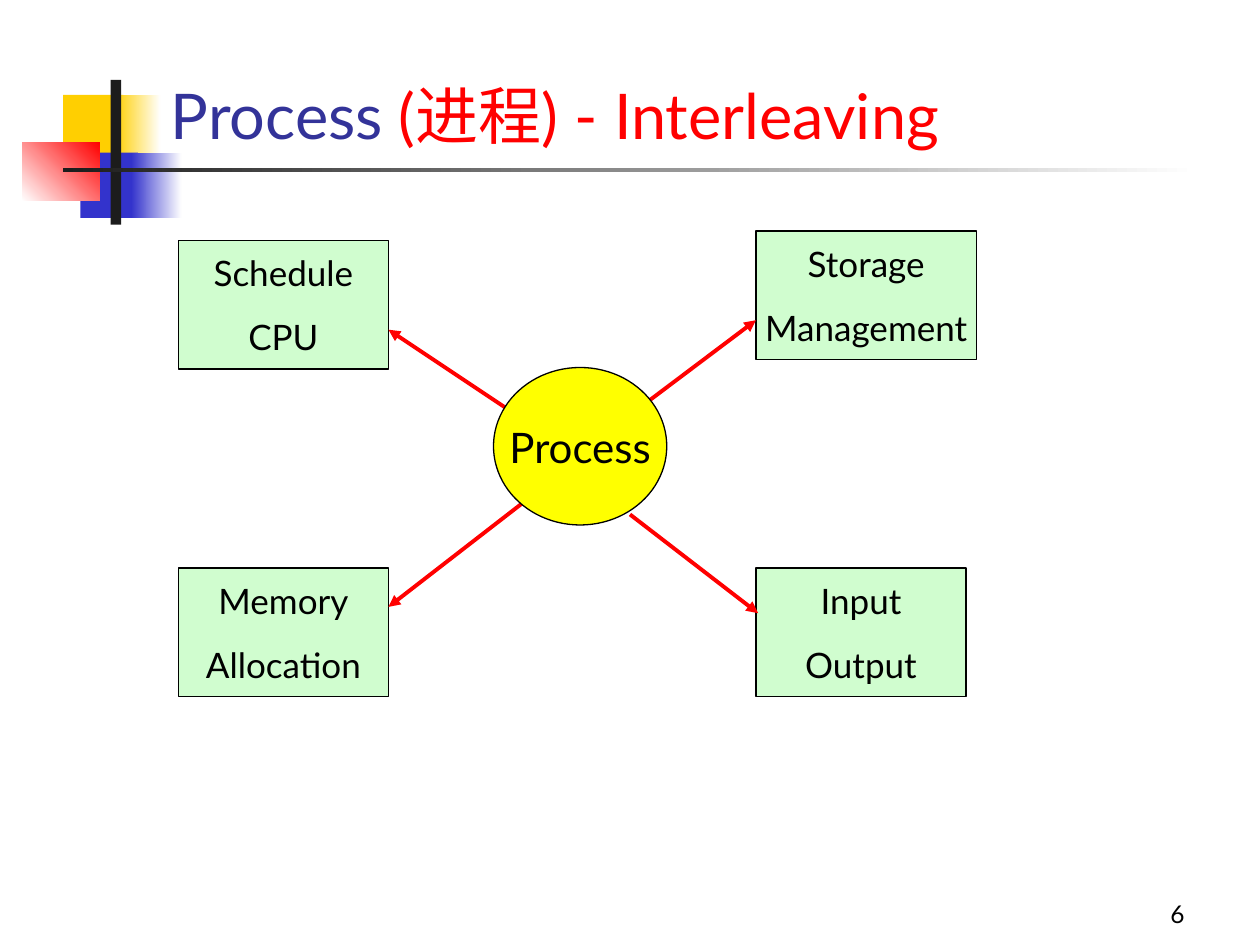
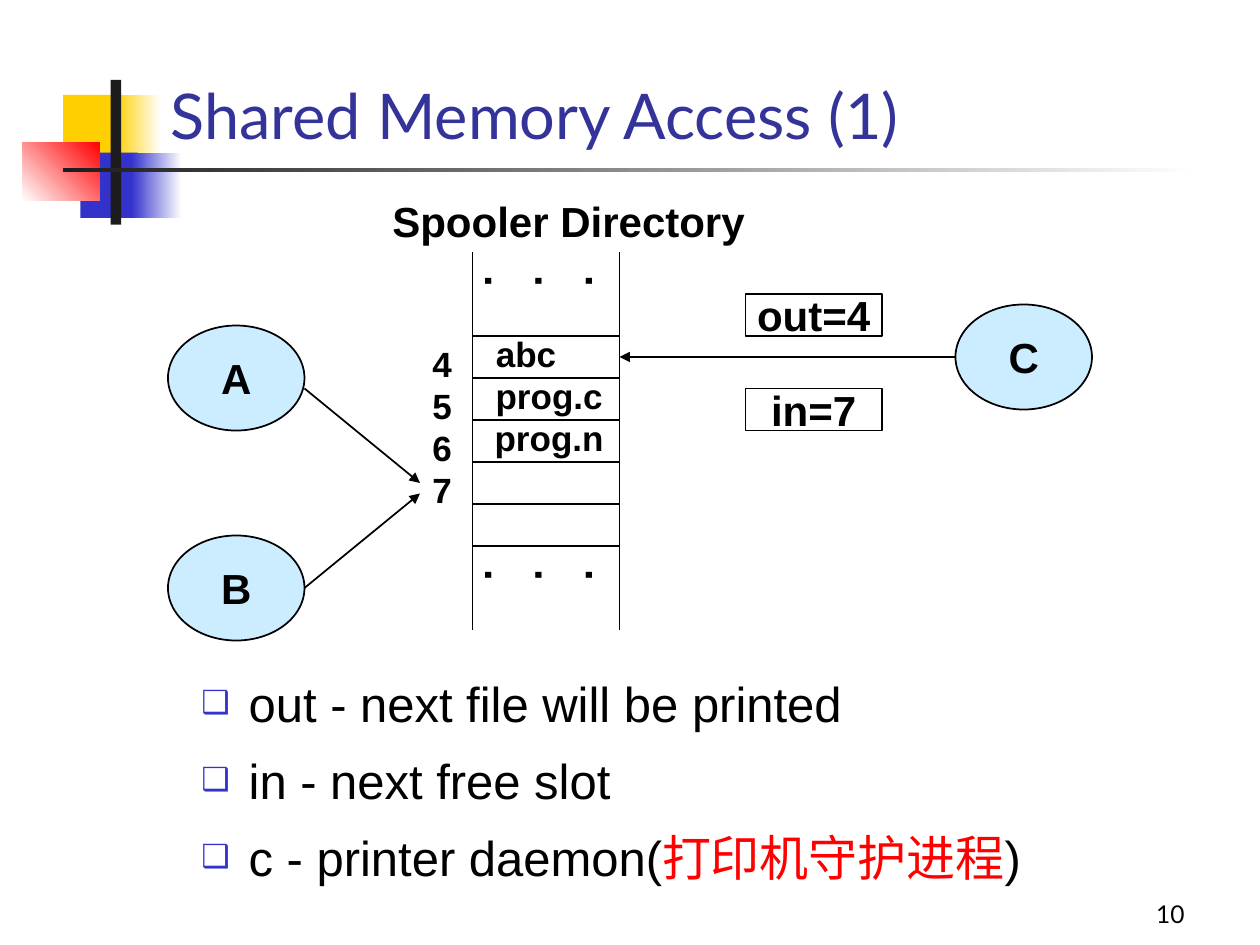
import dataclasses
import lxml.etree
import pptx
import pptx.dml.color
import pptx.enum.shapes
import pptx.enum.text
import pptx.oxml.ns
import pptx.util

HUES = {
    "white": "FFFFFF", "black": "000000", "ink": "1C1C1C", "red": "FF0000",
    "gold": "FFCF01", "blue": "3333CC", "navy": "333399", "mint": "D0FDCF",
    "yellow": "FFFF00", "sky": "CCECFF",
}
COLS, ROWS = 120, 90  # grid over the slide
CELL = pptx.util.Inches(10) // COLS
KIND = pptx.enum.shapes.MSO_SHAPE
SIDE = pptx.enum.text.PP_ALIGN
EDGE = pptx.enum.text.MSO_ANCHOR
Place = tuple[float, float, float, float]


@dataclasses.dataclass
class Style:
    font: str = "Lato"
    size: float = 20
    bold: bool = False
    hue: str = "black"
    side: int = SIDE.CENTER
    edge: int = EDGE.MIDDLE
    wrap: bool = False
    before: float = 0
    space: float = 1
    pads: tuple[float, float] = (1.2, 0.6)


@dataclasses.dataclass
class Node:
    place: Place
    lines: list[str]
    style: Style
    fill: str | None = None
    kind: int = KIND.RECTANGLE
    width: float = 1


@dataclasses.dataclass
class Band:
    place: Place
    start: str
    end: str | None = None
    angle: float = 0


@dataclasses.dataclass
class Line:
    start: tuple[float, float]
    end: tuple[float, float]
    hue: str = "black"
    width: float = 1
    arrow: bool = True


# Text styles
TITLE = Style(size=36, hue="navy", side=SIDE.LEFT, edge=EDGE.BOTTOM, wrap=True)
PAGE = Style(size=14, side=SIDE.RIGHT, edge=EDGE.BOTTOM, wrap=True)
TASK = Style(before=12.5)
HUB = Style(size=24)
LABEL = Style("Arial", 24, True)
SLOT = Style("Arial", 20, True)
DOTS = Style("Arial", 24, True, wrap=True, before=15, pads=(0.6, 1.2))
LIST = Style("Arial", 28, side=SIDE.LEFT, edge=EDGE.TOP, wrap=True, before=7, space=1.1)

# Corner ornament and rule under the title
BANDS = [
    Band((6, 9.05, 5.76, 6.2), "gold"),
    Band((11, 9.05, 4.3, 6.2), "gold", "white"),
    Band((7.65, 14.55, 5.5, 6.2), "blue"),
    Band((12.5, 14.55, 4.8, 6.2), "blue", "white"),
    Band((2.1, 13.55, 7.4, 5.55), "white", "red", 45),
    Band((10.55, 7.6, 1, 13.8), "ink"),
    Band((6, 16, 108, 0.4), "ink", "white"),
]


def span(*cells: float) -> list[int]:
    return [round(cell * CELL) for cell in cells]


def tint(name: str) -> pptx.dml.color.RGBColor:
    return pptx.dml.color.RGBColor.from_string(HUES[name])


def child(node, tag: str, **attrs: str):
    return lxml.etree.SubElement(node, pptx.oxml.ns.qn(tag), attrs)


def write(shape, lines: list[str], style: Style) -> None:
    """Fill a shape with text; a * switches red on and off."""
    frame = shape.text_frame
    frame.word_wrap = style.wrap
    frame.vertical_anchor = style.edge
    across, down = span(*style.pads)
    frame.margin_left = frame.margin_right = across
    frame.margin_top = frame.margin_bottom = down
    frame.text = "\n".join(line.split("*")[0] for line in lines)
    for para, line in zip(frame.paragraphs, lines):
        para.alignment = style.side
        para.space_before = pptx.util.Pt(style.before)
        para.line_spacing = style.space
        for part in line.split("*")[1:]:
            para.add_run().text = part
        for rank, run in enumerate(para.runs):
            run.font.name = style.font
            run.font.size = pptx.util.Pt(style.size)
            run.font.bold = style.bold
            run.font.color.rgb = tint("red" if rank % 2 else style.hue)


def label(slide, place: Place, lines: list[str], style: Style):
    box = slide.shapes.add_textbox(*span(*place))
    write(box, lines, style)
    return box


def draw_node(slide, node: Node) -> None:
    shape = slide.shapes.add_shape(node.kind, *span(*node.place))
    shape.shadow.inherit = False
    if node.fill:
        shape.fill.solid()
        shape.fill.fore_color.rgb = tint(node.fill)
    else:
        shape.fill.background()
    shape.line.color.rgb = tint("black")
    shape.line.width = pptx.util.Pt(node.width)
    write(shape, node.lines, node.style)


def draw_band(slide, band: Band) -> None:
    shape = slide.shapes.add_shape(KIND.RECTANGLE, *span(*band.place))
    shape.shadow.inherit = False
    shape.line.fill.background()
    if band.end:
        shape.fill.gradient()
        shape.fill.gradient_angle = band.angle
        for stop, name in zip(shape.fill.gradient_stops, (band.start, band.end)):
            stop.color.rgb = tint(name)
    else:
        shape.fill.solid()
        shape.fill.fore_color.rgb = tint(band.start)


def draw_line(slide, line: Line) -> None:
    link = slide.shapes.add_connector(
        pptx.enum.shapes.MSO_CONNECTOR.STRAIGHT, *span(*line.start, *line.end))
    link.line.color.rgb = tint(line.hue)
    link.line.width = pptx.util.Pt(line.width)
    if line.arrow:
        child(link.line._get_or_add_ln(), "a:tailEnd", type="triangle")
    child(link._element.spPr, "a:effectLst")


def add_bullets(box) -> None:
    for para in box.text_frame.paragraphs:
        props = para._p.get_or_add_pPr()
        indent = round(4.5 * CELL)
        props.set("marL", str(indent))
        props.set("indent", str(-indent))
        child(child(props, "a:buClr"), "a:srgbClr", val=HUES["blue"])
        child(props, "a:buSzPct", val="65000")
        child(props, "a:buFont", typeface="Arial")
        child(props, "a:buChar", char="❑")


def start(deck, title: str, page: int):
    slide = deck.slides.add_slide(deck.slide_layouts[6])
    for band in BANDS:
        draw_band(slide, band)
    label(slide, (89, 83, 25, 6), [str(page)], PAGE)
    label(slide, (15.1, 5, 102.2, 10.1), [title], TITLE)
    return slide


def draw_process(deck) -> None:
    slide = start(deck, "Process *(进程) - Interleaving", 6)
    # Tasks around the hub
    tasks = [
        (17, 22.9, 20, "Schedule", "CPU"),
        (17, 54.1, 20, "Memory", "Allocation"),
        (72, 22, 21, "Storage", "Management"),
        (72, 54.1, 20, "Input", "Output"),
    ]
    for left, top, wide, *lines in tasks:
        draw_node(slide, Node((left, top, wide, 12.25), lines, TASK, "mint", width=0.75))
    # Arrows out of the hub
    ends = [
        ((48.4, 39), (37, 31.4)), ((50.3, 47.5), (37, 57.8)),
        ((60, 49), (72.2, 58.4)), ((60.7, 39), (72, 30.5)),
    ]
    for tail, head in ends:
        draw_line(slide, Line(tail, head, "red", 2.25))
    draw_node(slide, Node((47, 35, 16.5, 15), ["Process"], HUB, "yellow", KIND.OVAL, 0.75))


def draw_memory(deck) -> None:
    slide = start(deck, "Shared Memory Access (1)", 10)
    notes = ["out - next file will be printed", "in - next free slot",
             "c - printer daemon(*打印机守护进程*)"]
    add_bullets(label(slide, (18, 63, 88, 25), notes, LIST))

    # Spooler directory: two rails and evenly spaced rungs
    left, right, top, step = 45, 59, 32, 4
    for rail in (left, right):
        draw_line(slide, Line((rail, 24), (rail, 60), arrow=False))
    for rank in range(6):
        row = top + rank * step
        draw_line(slide, Line((left, row), (right, row), arrow=False))
    for rank in range(4):
        label(slide, (40, top + rank * step, 4.2, 5.3), [str(rank + 4)], SLOT)
    # Names are centred in boxes with room to spare
    for rank, (name, mid) in enumerate([("abc", 50.1), ("prog.c", 52.3), ("prog.n", 52.3)]):
        label(slide, (mid - 7, top - 1 + rank * step, 14, 5.3), [name], SLOT)
    label(slide, (34.15, 18, 40, 6), ["Spooler Directory"], LABEL)
    for row in (25, 53):
        dots = label(slide, (49, row, 7.2, 4.6), ["..."], DOTS)
        dots.text_frame._txBody.bodyPr.set("vert", "eaVert")

    # Processes and the shared variables
    for col, row, name in [(16, 31, "A"), (16, 51, "B"), (91, 29, "C")]:
        draw_node(slide, Node((col, row, 13, 10), [name], LABEL, "sky", KIND.OVAL))
    for row, name in [(28, "out=4"), (37, "in=7")]:
        draw_node(slide, Node((71, row, 13, 4), [name], LABEL))
    for tail, head in [((29, 37), (40, 46)), ((29, 56), (40, 47)), ((91, 34), (right, 34))]:
        draw_line(slide, Line(tail, head))


def main() -> None:
    deck = pptx.Presentation()
    deck.slide_width, deck.slide_height = span(COLS, ROWS)
    draw_process(deck)
    draw_memory(deck)
    deck.save("out.pptx")


if __name__ == "__main__":
    main()
